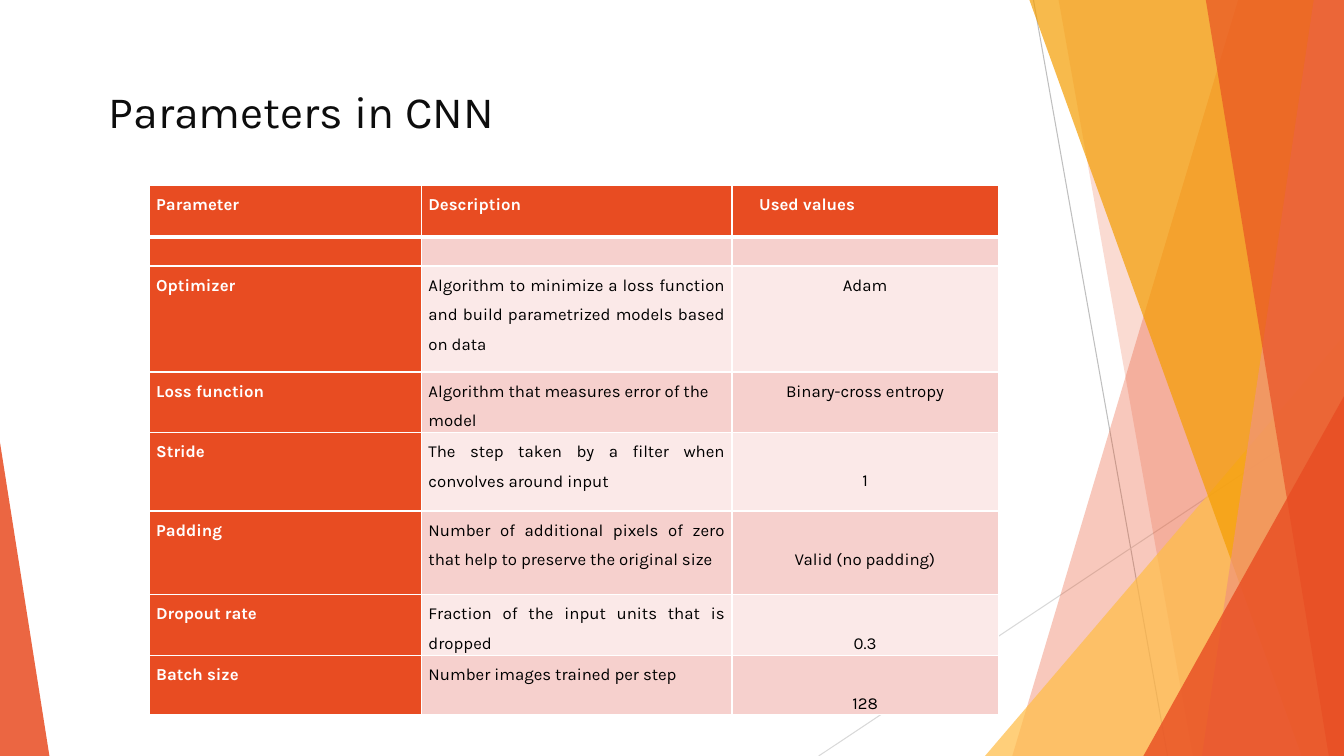
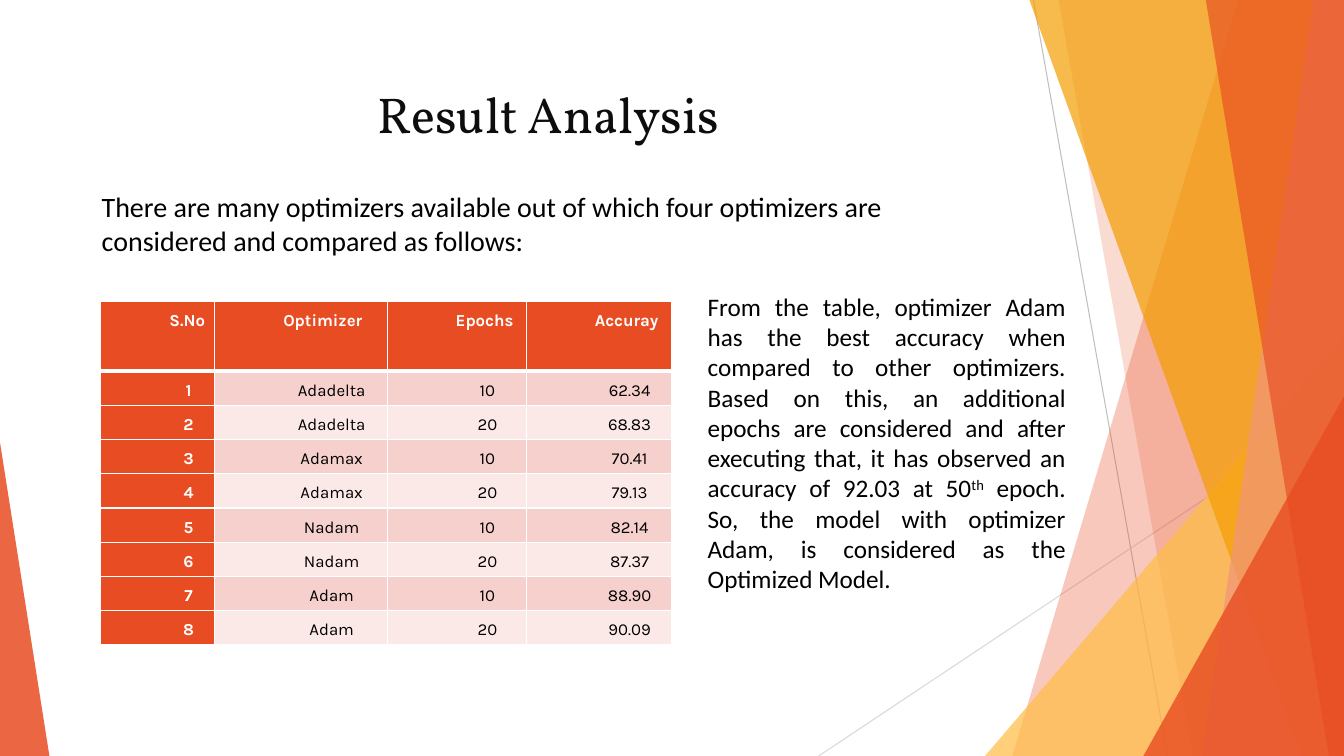
from dataclasses import dataclass

from lxml import etree
from pptx import Presentation
from pptx.dml.color import RGBColor
from pptx.enum.shapes import MSO_CONNECTOR as CONN, MSO_SHAPE as SHAPE
from pptx.enum.text import MSO_ANCHOR as ANCHOR, PP_ALIGN as ALIGN
from pptx.oxml.ns import qn
from pptx.util import Inches, Pt


@dataclass(frozen=True)
class Theme:
    accent: str = "E84C22"
    salmon: str = "F1947A"
    amber: str = "F49D00"
    gold: str = "FFBD47"
    title: str = "0D0D0D"
    text: str = "000000"
    white: str = "FFFFFF"
    bands: tuple = ("F6D0CD", "FBE9E8")
    table_font: str = "Karla"
    body_font: str = "Calibri"
    table_size: int = 12
    intro_size: int = 20
    body_size: int = 18


T = Theme()
W, H = 13.33, 7.5
LEFT, CENTER, JUSTIFY = ALIGN.LEFT, ALIGN.CENTER, ALIGN.JUSTIFY

# Shared decoration, back to front
RAYS = [  # start, end, colour
    ((10.25, 0), (11.58, H), "BFBFBF"),
    ((W, 4.03), (8.12, H), "D9D9D9"),
]
# A band runs from its top x and bottom x to the right edge of the slide;
# a triangle has left, top, width, height and the place of its apex.
FACETS = [  # kind, geometry, colour, opacity in percent
    ("band", (12.28, 10.04), T.accent, 30),
    ("band", (10.5, 11.83), T.accent, 20),
    ("triangle", (9.77, 3.33, 3.56, 4.17, 1), T.gold, 72),
    ("band", (10.21, 12.91), T.amber, 70),
    ("band", (13.03, 11.92), T.salmon, 70),
    ("band", (11.96, 13.18), T.accent, 65),
    ("triangle", (11.34, 3.93, 1.99, 3.57, 1), T.accent, 80),
    ("triangle", (0, 4.39, 0.49, 3.11, 0), T.accent, 85),
]

# Slide 1 content
PARAM_COLS = [2.7, 3.08, 2.64]
PARAM_ROWS = [0.51, 0.29, 1.05, 0.59, 0.78, 0.83, 0.59, 0.59]
PARAMS = [
    ("Parameter", "Description", "Used values"),
    ("", "", ""),
    ("Optimizer", "Algorithm to minimize a loss function and build "
                  "parametrized models based on data", "Adam"),
    ("Loss function", "Algorithm that measures error of the model",
     "Binary-cross entropy"),
    ("Stride", "The step taken by a filter when convolves around input", "1"),
    ("Padding", "Number of additional pixels of zero that help to preserve "
                "the original size", "Valid (no padding)"),
    ("Dropout rate", "Fraction of the input units that is dropped", "0.3"),
    ("Batch size", "Number images trained per step", "128"),
]
LOSS_ROW, FIRST_LOWERED_ROW = 3, 4
LINE_DROP = 0.29  # one line of table text

# Slide 2 content
RESULT_COLS = [1.13, 1.71, 1.38, 1.44]
OPTIMIZERS = [  # name, accuracy after 10 and after 20 epochs
    ("Adadelta", "62.34", "68.83"),
    ("Adamax", "70.41", "79.13"),
    ("Nadam", "82.14", "87.37"),
    ("Adam", "88.90", "90.09"),
]
RUNS = [(name, epochs, acc) for name, *accs in OPTIMIZERS
        for epochs, acc in zip(("10", "20"), accs)]
RESULTS = [("S.No", "Optimizer", "Epochs", "Accuray")]
RESULTS += [(str(n), *run) for n, run in enumerate(RUNS, 1)]
RESULT_ROWS = [0.69] + [0.34] * len(RUNS)
INTRO = ("There are many optimizers available out of which four optimizers "
         "are considered and compared as follows:")
FINDING = [  # text, superscript
    ("From the table, optimizer Adam has the best accuracy when compared to "
     "other optimizers. Based on this, an additional epochs are considered "
     "and after executing that, it has observed an accuracy of 92.03 at 50",
     False),
    ("th", True),
    (" epoch. So, the model with optimizer Adam, is considered as the "
     "Optimized Model.", False),
]


def rgb(color):
    return RGBColor.from_string(color)


def inches(*values):
    return [Inches(v) for v in values]


def style(p, font, size, color, align=LEFT, bold=False, indent=0):
    p.alignment = align
    p.font.name, p.font.size, p.font.bold = font, Pt(size), bold
    p.font.color.rgb = rgb(color)
    if indent:
        p._p.get_or_add_pPr().set("marL", str(Inches(indent)))
        p._p.get_or_add_pPr().set("indent", "0")


# Shared parts
def add_facet(s, kind, geometry, color, opacity):
    if kind == "band":
        top, bottom = geometry
        start, *rest = [inches(*pt) for pt in
                        ((top, 0), (W, 0), (W, H), (bottom, H))]
        builder = s.shapes.build_freeform(*start)
        builder.add_line_segments(rest, close=True)
        sp = builder.convert_to_shape()
    else:
        *box, apex = geometry
        sp = s.shapes.add_shape(SHAPE.ISOSCELES_TRIANGLE, *inches(*box))
        sp.adjustments[0] = apex
    sp.shadow.inherit = False
    sp.line.fill.background()
    sp.fill.solid()
    sp.fill.fore_color.rgb = rgb(color)
    clr = sp._element.spPr.find(qn("a:solidFill"))[0]
    etree.SubElement(clr, qn("a:alpha")).set("val", str(opacity * 1000))


def add_text(s, box, runs, anchor=ANCHOR.TOP, **fmt):
    tf = s.shapes.add_textbox(*inches(*box)).text_frame
    tf.word_wrap = True
    tf.vertical_anchor = anchor
    p = tf.paragraphs[0]
    style(p, **fmt)
    for text, superscript in runs:
        r = p.add_run()
        r.text = text
        if superscript:
            r._r.get_or_add_rPr().set("baseline", "30000")


def add_slide(prs, title, height, **fmt):
    s = prs.slides.add_slide(prs.slide_layouts[6])
    for start, end, color in RAYS:
        ray = s.shapes.add_connector(CONN.STRAIGHT, *inches(*start, *end))
        ray.line.color.rgb = rgb(color)
        ray.line.width = Pt(0.75)
        etree.SubElement(ray._element.spPr, qn("a:effectLst"))
    for facet in FACETS:
        add_facet(s, *facet)
    add_text(s, (0.74, 0.67, 9.4, height), [(title, False)], ANCHOR.MIDDLE,
             color=T.title, **fmt)
    return s


# Tables
def set_borders(cell, row):
    tcPr = cell._tc.get_or_add_tcPr()
    thick = {0: "lnB", 1: "lnT"}.get(row)
    for side in ("lnL", "lnR", "lnT", "lnB"):
        ln = etree.SubElement(tcPr, qn(f"a:{side}"))
        ln.set("w", str(Pt(3 if side == thick else 1)))
        fill = etree.SubElement(ln, qn("a:solidFill"))
        etree.SubElement(fill, qn("a:srgbClr")).set("val", T.white)


def add_table(s, left, top, cols, heights, data, layout):
    """layout(row, col) gives alignment, indent and top margin of a cell."""
    frame = s.shapes.add_table(len(heights), len(cols), *inches(
        left, top, sum(cols), sum(heights)))
    table = frame.table
    table.horz_banding = False
    for column, width in zip(table.columns, cols):
        column.width = Inches(width)
    for i, (height, values) in enumerate(zip(heights, data)):
        table.rows[i].height = Inches(height)
        for j, value in enumerate(values):
            cell = table.cell(i, j)
            align, indent, drop = layout(i, j)
            heading = i == 0 or j == 0
            cell.margin_left = cell.margin_right = Inches(0.07)
            cell.margin_top, cell.margin_bottom = Inches(drop), 0
            set_borders(cell, i)
            cell.fill.solid()
            cell.fill.fore_color.rgb = rgb(
                T.accent if heading else T.bands[(i - 1) % 2])
            p = cell.text_frame.paragraphs[0]
            style(p, T.table_font, T.table_size,
                  T.white if heading else T.text, align, heading, indent)
            if value:
                p.line_spacing = 1.5
                p.add_run().text = value


def param_layout(row, col):
    if col == 2:
        if row == 0:
            return JUSTIFY, 0.2, 0
        return CENTER, 0, LINE_DROP if row >= FIRST_LOWERED_ROW else 0
    return LEFT if (row, col) == (LOSS_ROW, 1) else JUSTIFY, 0, 0


def result_layout(row, col):
    return CENTER if row else LEFT, 0.61, 0


def main():
    prs = Presentation()
    prs.slide_width, prs.slide_height = inches(W, H)

    # Slide 1: parameters
    s = add_slide(prs, "Parameters in CNN", 0.86, font=T.table_font, size=32,
                  indent=0.24)
    add_table(s, 1.48, 1.84, PARAM_COLS, PARAM_ROWS, PARAMS, param_layout)

    # Slide 2: results
    s = add_slide(prs, "Result Analysis", 0.91, font="Vollkorn", size=36,
                  align=CENTER)
    add_table(s, 1, 2.99, RESULT_COLS, RESULT_ROWS, RESULTS, result_layout)
    add_text(s, (0.91, 1.83, 8.3, 1.08), [(INTRO, False)],
             font=T.body_font, size=T.intro_size, color=T.text)
    add_text(s, (6.92, 2.84, 3.75, 3.43), FINDING, font=T.body_font,
             size=T.body_size, color=T.text, align=JUSTIFY)

    prs.save("out.pptx")


if __name__ == "__main__":
    main()
